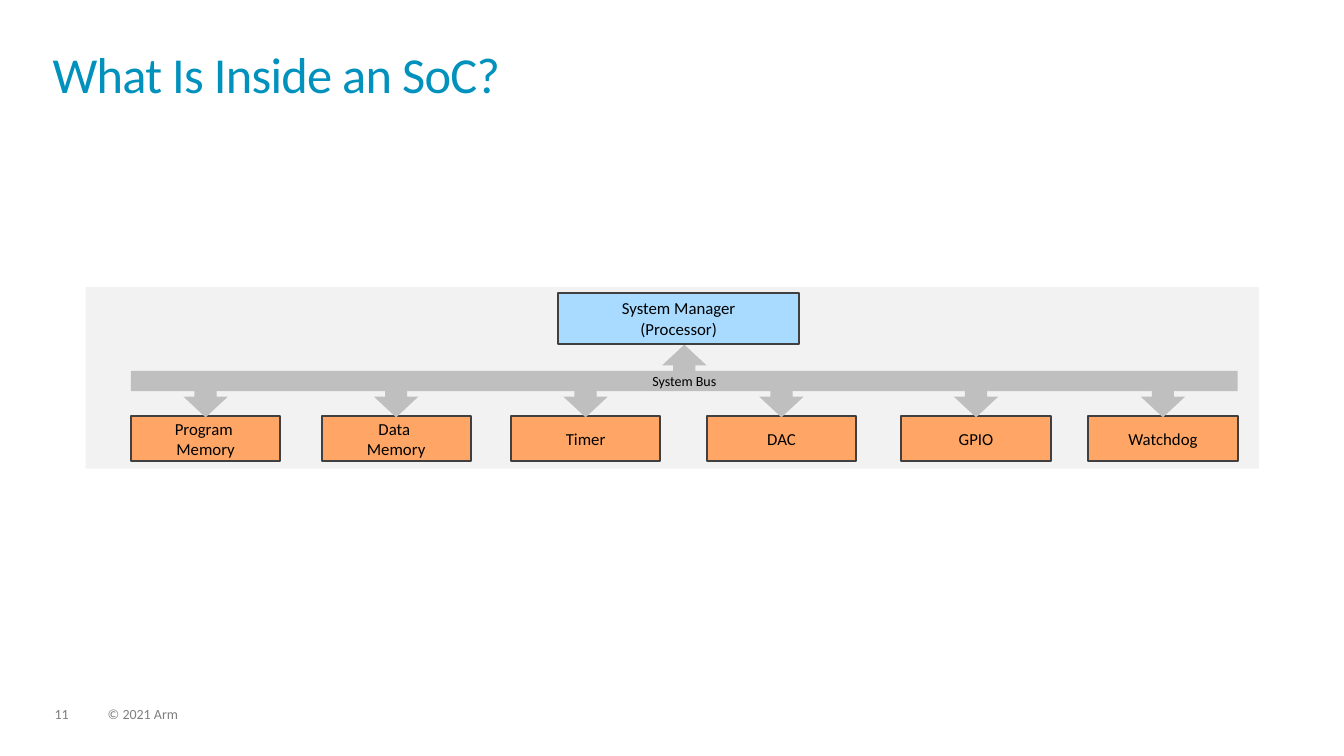
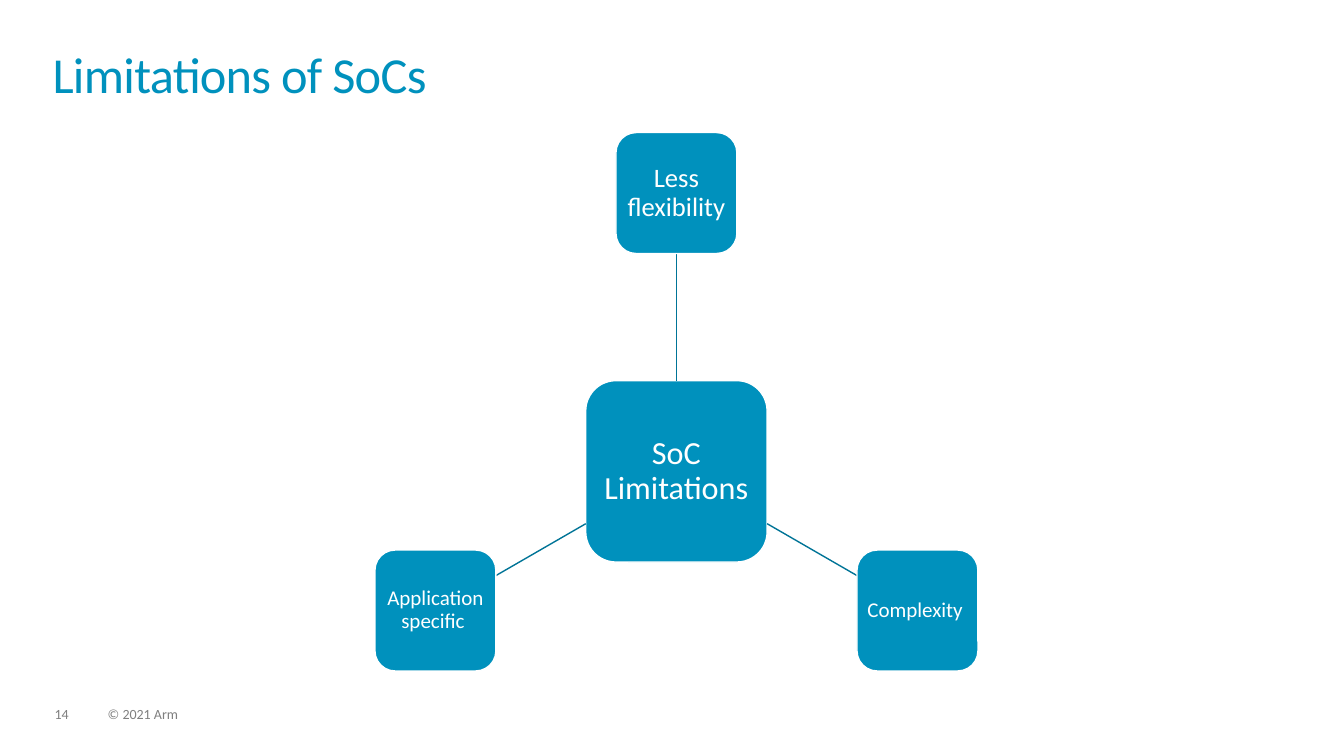
from math import cos, radians, sin

from lxml.etree import SubElement
from pptx import Presentation as Deck
from pptx.dml.color import RGBColor as Color
from pptx.enum.shapes import MSO_CONNECTOR as Link, MSO_SHAPE as Shape
from pptx.enum.text import MSO_ANCHOR as Anchor, MSO_AUTO_SIZE as Fit, PP_ALIGN as Align
from pptx.oxml.ns import qn
from pptx.util import Pt

HUES = {
    "brand": "0091BD",
    "spoke": "007497",
    "panel": "F2F2F2",
    "bus": "BFBFBF",
    "core": "A8DBFF",
    "part": "FFA666",
    "edge": "404040",
    "foot": "7F7F7F",
    "white": "FFFFFF",
    "black": "000000",
}


def hue(name):
    return Color.from_string(HUES[name])


def adorn(target, values):
    for key, value in values.items():
        setattr(target, key, value)


class Style:
    face = "Calibri"

    def __init__(self):
        self.deck = Deck()
        adorn(self.deck, {"slide_width": Pt(960), "slide_height": Pt(540)})
        self.slide = None

    def words(self, shape, text, size, color, align=Align.CENTER, space=1.0,
              inset=None, wrap=True, anchor=Anchor.MIDDLE):
        frame = shape.text_frame
        frame.text = text
        adorn(frame, {"word_wrap": wrap, "vertical_anchor": anchor, "auto_size": Fit.NONE})
        if inset is not None:
            sides = ("left", "top", "right", "bottom")
            adorn(frame, {f"margin_{side}": Pt(inset) for side in sides})
        for par in frame.paragraphs:
            adorn(par, {"alignment": align, "line_spacing": space})
            for run in par.runs:
                adorn(run.font, {"name": self.face, "size": Pt(size)})
                run.font.color.rgb = hue(color)

    def page(self, title, number):
        self.slide = self.deck.slides.add_slide(self.deck.slide_layouts[5])
        head = self.slide.shapes.title
        adorn(head, {"left": Pt(37.5), "top": Pt(37.5), "width": Pt(884), "height": Pt(52)})
        flush = {"align": Align.LEFT, "inset": 0, "anchor": Anchor.TOP}
        self.words(head, title, 36, "brand", space=0.85, **flush)
        for run in head.text_frame.paragraphs[0].runs:
            run.font._element.set("spc", "-50")
        for left, width, text in ((39, 24, str(number)), (77, 365, "© 2021 Arm")):
            box = self.slide.shapes.add_textbox(Pt(left), Pt(505), Pt(width), Pt(11))
            self.words(box, text, 10, "foot", space=0.9, **flush)

    def block(self, kind, left, top, width, height, fill, edge=None, thick=1.5):
        shape = self.slide.shapes.add_shape(kind, Pt(left), Pt(top), Pt(width), Pt(height))
        shape.shadow.inherit = False
        shape.fill.solid()
        shape.fill.fore_color.rgb = hue(fill)
        if edge:
            shape.line.color.rgb = hue(edge)
            shape.line.width = Pt(thick)
        else:
            shape.line.fill.background()
        return shape

    def label(self, text, left, top, width, height, fill, edge=None, size=12):
        shape = self.block(Shape.RECTANGLE, left, top, width, height, fill, edge)
        self.words(shape, text, size, "black", wrap=False)

    def node(self, text, x, y, side, size, inset):
        shape = self.block(Shape.ROUNDED_RECTANGLE, x - side / 2, y - side / 2,
                           side, side, "brand", "white", 1)
        self.words(shape, text, size, "white", space=0.9, inset=inset)

    def line(self, start, end):
        link = self.slide.shapes.add_connector(Link.STRAIGHT, *map(Pt, start + end))
        link.line.color.rgb = hue("spoke")
        link.line.width = Pt(1)
        SubElement(link._element.spPr, qn("a:effectLst"))


def inside(art):
    art.page("What Is Inside an SoC?", 11)
    art.block(Shape.RECTANGLE, 61.2, 205.2, 838, 129.6, "panel")
    wide, high = 31.7, 29.5
    art.block(Shape.UP_ARROW, 473, 246.2, wide, high, "bus")
    art.label("System Manager\n(Processor)", 398.6, 209, 172.4, 36.7, "core", "edge")
    art.label("System Bus", 93.6, 265, 790.4, 14.4, "bus", size=10)
    parts = (
        ("Program \nMemory", 93.6),
        ("Data \nMemory", 229.7),
        ("Timer", 365),
        ("DAC", 504.9),
        ("GPIO", 643.9),
        ("Watchdog", 777.4),
    )
    width = 106.6
    for text, left in parts:
        art.label(text, left, 297.4, width, 31.8, "part", "edge")
        art.block(Shape.DOWN_ARROW, left + (width - wide) / 2, 268.6, wide, high, "bus")


def limits(art):
    art.page("Limitations of SoCs", 14)
    x, y, reach = 483.2, 336.7, 198.8
    hub, leaf = 129.6, 86.4
    art.node("SoC Limitations", x, y, hub, 23, 4.3)
    leaves = (
        ("Less flexibility", 19, 3.6),
        ("Complexity ", 15, 2.9),
        ("Application specific ", 15, 2.9),
    )
    for step, (text, size, inset) in enumerate(leaves):
        turn = radians(120 * step - 90)
        dx, dy = cos(turn), sin(turn)
        slant = 2 * max(abs(dx), abs(dy))
        near, far = hub / slant, reach - leaf / slant
        art.line((x + near * dx, y + near * dy), (x + far * dx, y + far * dy))
        art.node(text, x + reach * dx, y + reach * dy, leaf, size, inset)


def main():
    art = Style()
    inside(art)
    limits(art)
    art.deck.save("out.pptx")


if __name__ == "__main__":
    main()
